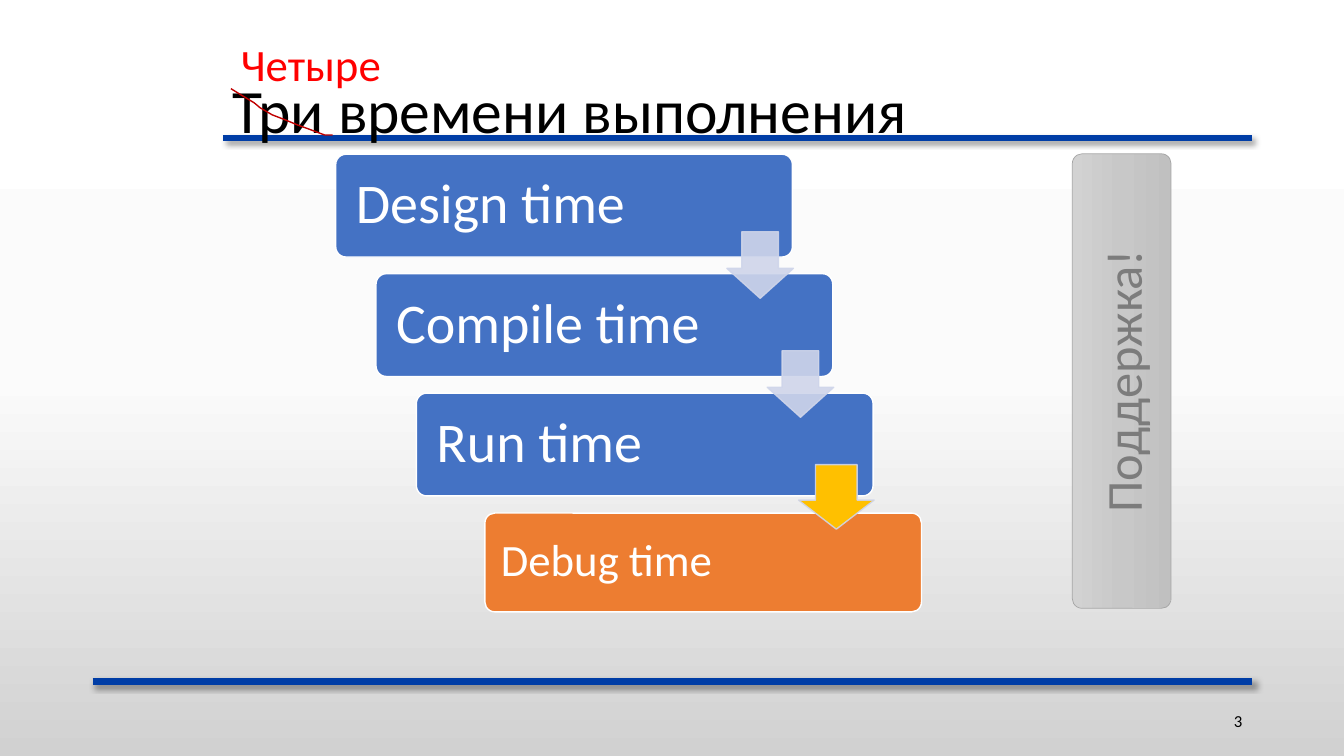
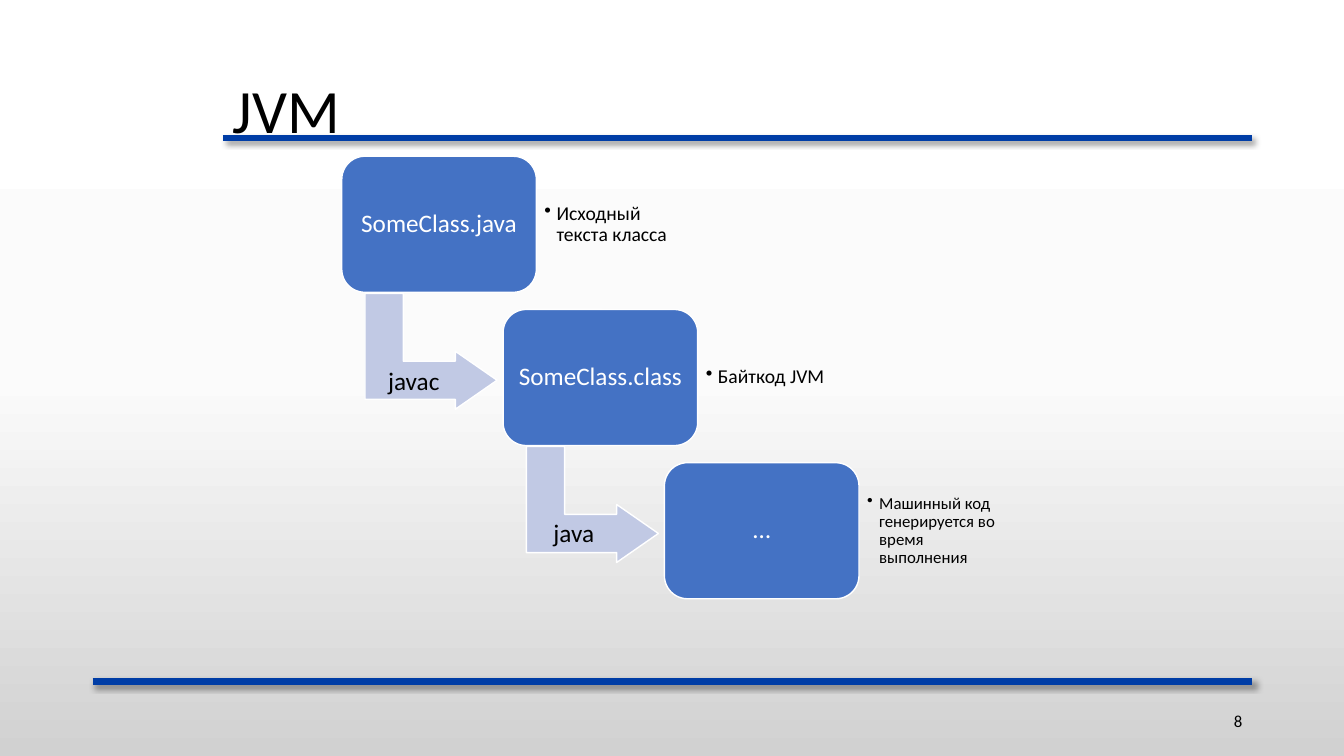
from lxml.etree import SubElement
from pptx import Presentation
from pptx.dml.color import RGBColor
from pptx.enum.shapes import MSO_CONNECTOR, MSO_SHAPE as Preset
from pptx.enum.text import MSO_ANCHOR as Anchor, MSO_AUTO_SIZE as AutoSize, PP_ALIGN as Align
from pptx.oxml.ns import qn
from pptx.util import Inches, Pt

BLACK = RGBColor(0x00, 0x00, 0x00)
WHITE = RGBColor(0xFF, 0xFF, 0xFF)
RED = RGBColor(0xFF, 0x00, 0x00)
DARK_RED = RGBColor(0xC0, 0x00, 0x00)
NAVY = RGBColor(0x00, 0x3D, 0xA6)
BLUE = RGBColor(0x44, 0x72, 0xC4)
PALE_BLUE = RGBColor(0xCF, 0xD5, 0xEA)
BENT_BLUE = RGBColor(0xC1, 0xC9, 0xE4)
ORANGE = RGBColor(0xED, 0x7D, 0x31)
GOLD = RGBColor(0xFF, 0xC0, 0x00)
GRAY = RGBColor(0xA5, 0xA5, 0xA5)
TEXT_GRAY = RGBColor(0x7C, 0x7C, 0x7C)
BACKGROUND_STOPS = ((0, "FFFFFF"), (50, "FBFBFB"), (100, "D1D1D1"))
SUPPORT_STOPS = ((0, "D2D2D2"), (50, "C8C8C8"), (100, "C0C0C0"))


class Deck:
    font = "Calibri"
    rules = ((2.21, 1.37, 12.42), (0.92, 6.76, 12.42))

    def __init__(self):
        self.presentation = Presentation()
        self.presentation.slide_width = Inches(13.33)
        self.presentation.slide_height = Inches(7.5)
        master = self.presentation.slide_master
        self.gradient(master.background.fill, master.element, BACKGROUND_STOPS)
        self.slide = None

    def add_slide(self, title, number):
        layout = self.presentation.slide_layouts.get_by_name("Title Only")
        self.slide = self.presentation.slides.add_slide(layout)
        for rule in self.rules:
            self.rule(*rule)
        shape = self.slide.shapes.title
        shape.left, shape.top = Inches(2.21), Inches(0.4)
        shape.width, shape.height = Inches(10.21), Inches(1.45)
        shape.text_frame.auto_size = AutoSize.NONE
        self.set_text(shape, title, 44, anchor=Anchor.MIDDLE, spacing=0.9)
        self.text(9.42, 6.95, 3, 0.4, number, 12, align=Align.RIGHT, anchor=Anchor.MIDDLE)

    def gradient(self, fill, element, stops):
        """Top-to-bottom gradient with any number of stops."""
        fill.gradient()
        fill.gradient_angle = 270
        stop_list = element.find(".//" + qn("a:gsLst"))
        for stop in list(stop_list):
            stop_list.remove(stop)
        for position, color in stops:
            stop = SubElement(stop_list, qn("a:gs"), pos=str(position * 1000))
            SubElement(stop, qn("a:srgbClr"), val=color)

    def rule(self, left, top, right):
        """Shadowed line behind the slide's content."""
        line = self.slide.shapes.add_connector(
            MSO_CONNECTOR.STRAIGHT, Inches(left), Inches(top), Inches(right), Inches(top))
        line.line.color.rgb = NAVY
        line.line.width = Pt(4.5)
        effects = SubElement(line.element.spPr, qn("a:effectLst"))
        shadow = SubElement(effects, qn("a:outerShdw"), blurRad=str(Pt(4)), dist=str(Pt(3)),
                            dir="2700000", algn="tl", rotWithShape="0")
        color = SubElement(shadow, qn("a:srgbClr"), val=str(BLACK))
        SubElement(color, qn("a:alpha"), val="40000")
        self.slide.shapes.element.insert(2, line.element)

    def set_text(self, shape, text, size, color=BLACK, align=Align.LEFT,
                 anchor=Anchor.TOP, inset=None, spacing=None):
        frame = shape.text_frame
        frame.text = text
        frame.vertical_anchor = anchor
        if inset is not None:
            frame.margin_left = frame.margin_right = Inches(inset)
            frame.margin_top = frame.margin_bottom = Inches(inset)
        paragraph = frame.paragraphs[0]
        paragraph.alignment = align
        paragraph.line_spacing = spacing
        font = paragraph.runs[0].font
        font.name, font.size, font.color.rgb = self.font, Pt(size), color

    def text(self, left, top, width, height, text, size, color=BLACK, wrap=True, **style):
        box = self.slide.shapes.add_textbox(
            Inches(left), Inches(top), Inches(width), Inches(height))
        box.text_frame.word_wrap = wrap
        self.set_text(box, text, size, color, **style)
        return box

    def bullet(self, left, top, text, size):
        box = self.text(left, top, 1.41, 1.09, text, size,
                        anchor=Anchor.MIDDLE, inset=0.07, spacing=0.9)
        properties = box.text_frame.paragraphs[0]._p.get_or_add_pPr()
        properties.set("marL", str(Inches(0.12)))
        properties.set("indent", str(-Inches(0.12)))
        SubElement(properties, qn("a:buChar"), char="•")

    def shape(self, preset, left, top, width, height, fill, adjustments,
              line=WHITE, line_width=1, rotation=0):
        shape = self.slide.shapes.add_shape(
            preset, Inches(left), Inches(top), Inches(width), Inches(height))
        shape.shadow.inherit = False
        shape.rotation = rotation
        for index, value in enumerate(adjustments):
            shape.adjustments[index] = value
        shape.fill.solid()
        shape.fill.fore_color.rgb = fill
        shape.line.color.rgb = line
        shape.line.width = Pt(line_width)
        return shape

    def box(self, left, top, width, height, text, size, fill=BLUE, corner=0.1, **style):
        box = self.shape(Preset.ROUNDED_RECTANGLE, left, top, width, height, fill, [corner])
        self.set_text(box, text, size, WHITE, anchor=Anchor.MIDDLE, spacing=0.9, **style)

    def down_arrow(self, left, top, width, height, fill=PALE_BLUE):
        arrow = self.shape(Preset.DOWN_ARROW, left, top, width, height, fill,
                           (0.55, 0.45), line=PALE_BLUE)
        for color in arrow.element.spPr.iter(qn("a:srgbClr")):
            if color.get("val") == str(PALE_BLUE):
                SubElement(color, qn("a:alpha"), val="90000")

    def stroke(self, points, color):
        (left, top), *rest = [(Inches(x), Inches(y)) for x, y in points]
        builder = self.slide.shapes.build_freeform(left, top)
        builder.add_line_segments(rest, close=False)
        stroke = builder.convert_to_shape()
        stroke.shadow.inherit = False
        stroke.fill.background()
        stroke.line.color.rgb = color
        stroke.line.width = Pt(1)


deck = Deck()

# Execution times: staircase of stages
deck.add_slide("Три времени выполнения", "3")
for step, stage in enumerate(("Design time", "Compile time", "Run time")):
    deck.box(3.33 + 0.4 * step, 1.53 + 1.185 * step, 4.53, 1.02, stage, 40, inset=0.17)
for step in range(2):
    deck.down_arrow(7.21 + 0.4 * step, 2.3 + 1.18 * step, 0.66, 0.66)
deck.box(4.81, 5.09, 4.33, 0.98, "Debug time", 32, fill=ORANGE, inset=0.13)
deck.down_arrow(7.92, 4.61, 0.75, 0.64, fill=GOLD)

# Correction of the title
deck.stroke(((2.29, 0.88), (2.42, 0.96), (2.52, 1.02), (2.58, 1.07), (2.7, 1.14),
             (2.83, 1.19), (2.95, 1.24), (3.06, 1.28), (3.14, 1.31), (3.22, 1.34),
             (3.3, 1.34)), DARK_RED)
deck.text(2.29, 0.32, 1.6, 0.64, "Четыре", 32, RED, wrap=False)

# Support pillar
support = deck.shape(Preset.ROUNDED_RECTANGLE, 8.87, 3.29, 4.51, 0.98, GRAY, [0.1],
                     line=GRAY, line_width=0.5, rotation=270)
deck.gradient(support.fill, support.element, SUPPORT_STOPS)
deck.set_text(support, "Поддержка!", 36, TEXT_GRAY, Align.CENTER, Anchor.MIDDLE)

# JVM: from source text to machine code
deck.add_slide("JVM", "8")
files = (("SomeClass.java", "Исходный текста класса", 14),
         ("SomeClass.class", "Байткод JVM", 14),
         ("…", "Машинный код генерируется во время выполнения", 12))
for step, (name, note, note_size) in enumerate(files):
    right, down = 1.6 * step, 1.52 * step
    if step < len(files) - 1:
        deck.shape(Preset.BENT_UP_ARROW, 3.7 + right, 2.83 + down, 1.15, 1.31, BENT_BLUE,
                   (0.33, 0.25, 0.36), rotation=90)
    deck.box(3.39 + right, 1.55 + down, 1.93, 1.35, name, 18,
             corner=0.17, inset=0.07, align=Align.CENTER)
    deck.bullet(5.33 + right, 1.68 + down, note, note_size)

# Commands on the arrows
deck.text(3.75, 3.58, 1.42, 0.4, "javac", 18)
deck.text(5.39, 5.08, 0.61, 0.4, "java", 18, wrap=False)

deck.presentation.save("out.pptx")
